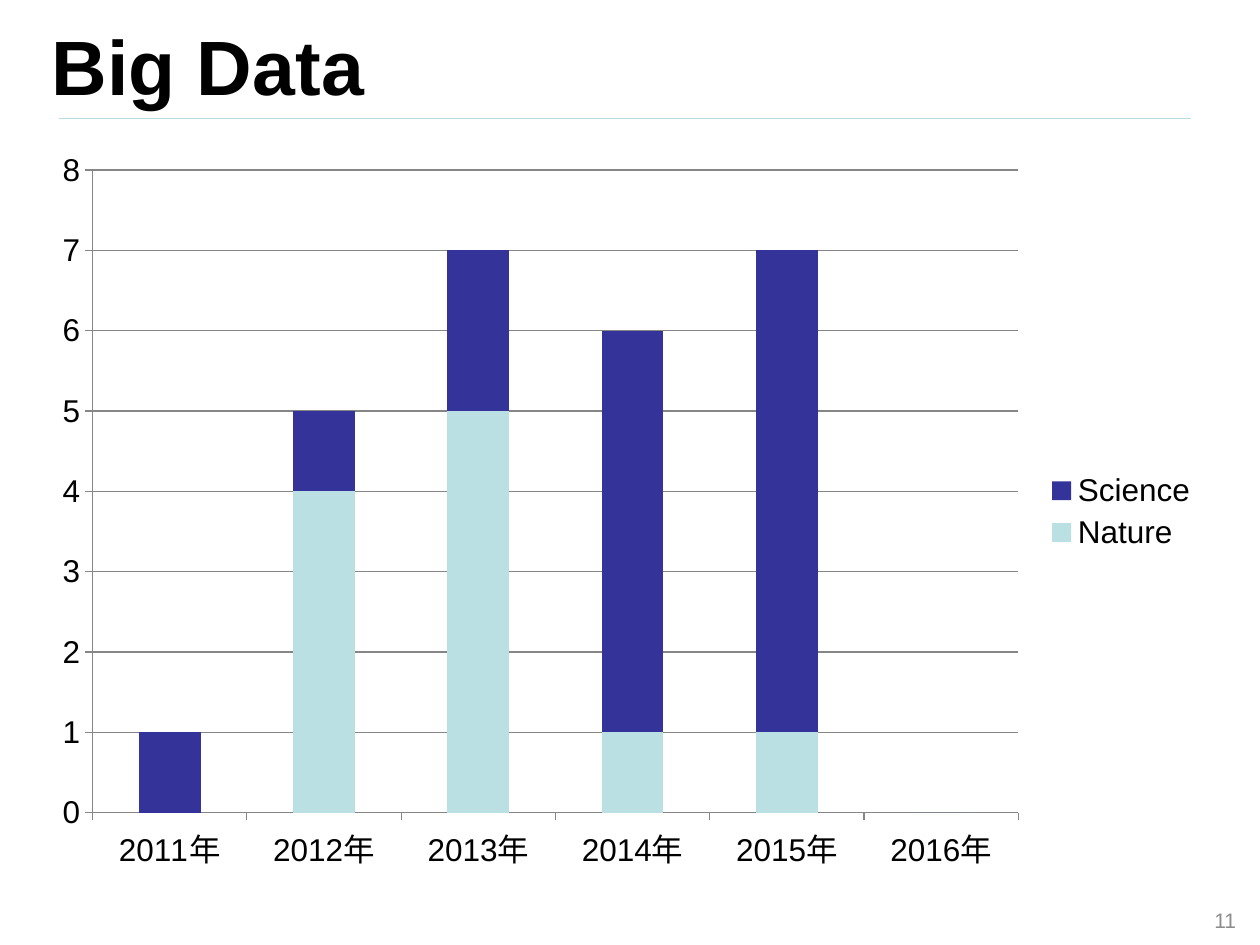
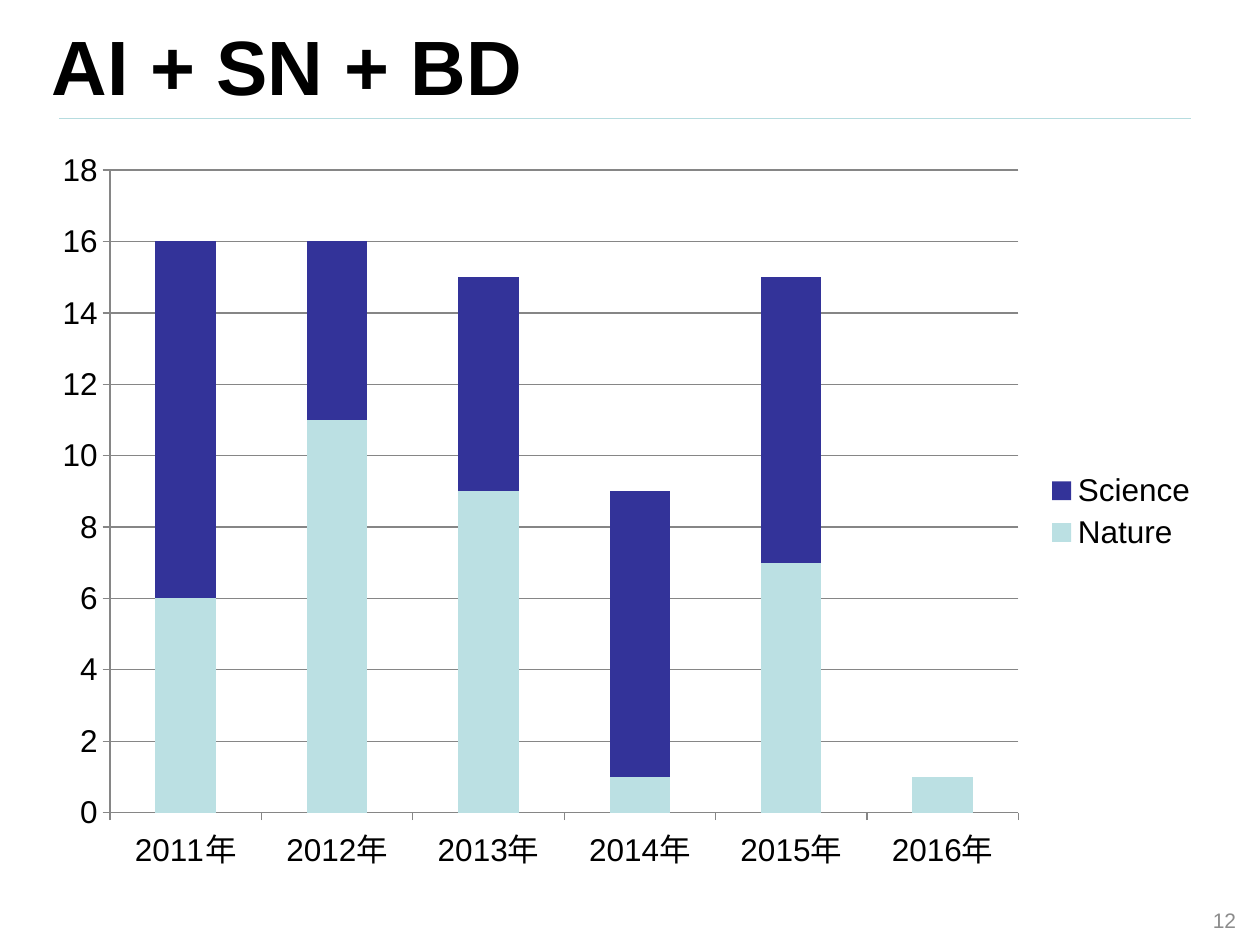
"""Build two slides of stacked yearly paper counts by journal."""
from dataclasses import dataclass

from lxml.etree import SubElement
from pptx import Presentation
from pptx.chart.data import CategoryChartData
from pptx.dml.color import RGBColor
from pptx.enum.chart import XL_CHART_TYPE, XL_LEGEND_POSITION, XL_TICK_MARK
from pptx.enum.shapes import MSO_CONNECTOR
from pptx.enum.text import MSO_ANCHOR, MSO_AUTO_SIZE, PP_ALIGN
from pptx.oxml.ns import qn
from pptx.util import Cm, Pt

FONT = "Arial"
BLACK = "000000"
PAGE_GREY = "8C8C8C"
AXIS_GREY = "868686"
RULE_TEAL = "B6DCDF"
JOURNAL_COLOURS = {"Nature": "BBE0E3", "Science": "333399"}
YEARS = [f"{year}年" for year in range(2011, 2017)]
TITLE_ONLY = 5


@dataclass(frozen=True)
class Box:
    """A rectangle in centimetres."""
    left: float
    top: float
    width: float
    height: float

    def lengths(self) -> tuple:
        """Return the four sides as lengths."""
        return Cm(self.left), Cm(self.top), Cm(self.width), Cm(self.height)


@dataclass(frozen=True)
class Topic:
    """One slide: its title, page and counts by journal."""
    title: str
    page: int
    counts: dict
    maximum: int
    step: int


TITLE_BOX = Box(0.79, 0.2, 23.22, 2.21)
PAGE_BOX = Box(19.25, 18.03, 5.92, 1.02)
CHART_BOX = Box(0.79, 2.77, 23.62, 15.09)
RULE_LEFT, RULE_RIGHT, RULE_TOP = 1.19, 24, 2.39

TOPICS = [
    Topic("Big Data", 11,
          {"Nature": [0, 4, 5, 1, 1, 0], "Science": [1, 1, 2, 5, 6, 0]}, 8, 1),
    Topic("AI + SN + BD", 12,
          {"Nature": [6, 11, 9, 1, 7, 1], "Science": [10, 5, 6, 8, 8, 0]}, 18, 2),
]


def rgb(value: str) -> RGBColor:
    """Turn a hex string into a colour."""
    return RGBColor.from_string(value)


def style_font(font, size: float, colour: str, bold: bool = False) -> None:
    """Set the shared typeface with a size, colour and weight."""
    font.name = FONT
    font.size = Pt(size)
    font.bold = bold
    font.color.rgb = rgb(colour)


def write_text(shape, text: str, *, size: float, colour: str,
               bold: bool = False, align=PP_ALIGN.LEFT) -> None:
    """Fill a shape with one formatted paragraph, centred vertically."""
    frame = shape.text_frame
    frame.auto_size = MSO_AUTO_SIZE.NONE
    frame.word_wrap = True
    frame.vertical_anchor = MSO_ANCHOR.MIDDLE
    paragraph = frame.paragraphs[0]
    paragraph.alignment = align
    run = paragraph.add_run()
    run.text = text
    style_font(run.font, size, colour, bold)


def add_rule(slide) -> None:
    """Draw the thin line under the title."""
    rule = slide.shapes.add_connector(
        MSO_CONNECTOR.STRAIGHT, Cm(RULE_LEFT), Cm(RULE_TOP), Cm(RULE_RIGHT), Cm(RULE_TOP))
    rule.line.color.rgb = rgb(RULE_TEAL)
    rule.line.width = Pt(0.75)
    SubElement(rule._element.spPr, qn("a:effectLst"))


def style_line(line) -> None:
    """Give an axis or gridline its thin grey stroke."""
    line.color.rgb = rgb(AXIS_GREY)
    line.width = Pt(0.75)


def add_counts_chart(slide, topic: Topic) -> None:
    """Add the stacked columns of one topic."""
    data = CategoryChartData()
    data.categories = YEARS
    for journal, counts in topic.counts.items():
        data.add_series(journal, counts)
    chart = slide.shapes.add_chart(
        XL_CHART_TYPE.COLUMN_STACKED, *CHART_BOX.lengths(), data).chart
    chart.has_title = False
    style_font(chart.font, 18, BLACK)

    chart.has_legend = True
    chart.legend.position = XL_LEGEND_POSITION.RIGHT
    chart.legend.include_in_layout = False

    plot = chart.plots[0]
    plot.vary_by_categories = False
    plot.overlap = 100
    plot.gap_width = 150
    for series in plot.series:
        series.format.fill.solid()
        series.format.fill.fore_color.rgb = rgb(JOURNAL_COLOURS[series.name])

    for axis in (chart.category_axis, chart.value_axis):
        axis.major_tick_mark = XL_TICK_MARK.OUTSIDE
        axis.minor_tick_mark = XL_TICK_MARK.NONE
        style_line(axis.format.line)
    counts_axis = chart.value_axis
    counts_axis.minimum_scale = 0
    counts_axis.maximum_scale = topic.maximum
    counts_axis.major_unit = topic.step
    counts_axis.has_major_gridlines = True
    style_line(counts_axis.major_gridlines.format.line)


def add_topic_slide(deck, topic: Topic) -> None:
    """Add a slide with title, rule, page number and chart."""
    slide = deck.slides.add_slide(deck.slide_layouts[TITLE_ONLY])
    add_rule(slide)
    title = slide.shapes.title
    title.left, title.top, title.width, title.height = TITLE_BOX.lengths()
    write_text(title, topic.title, size=44, colour=BLACK, bold=True)
    page = slide.shapes.add_textbox(*PAGE_BOX.lengths())
    write_text(page, str(topic.page), size=12, colour=PAGE_GREY, align=PP_ALIGN.RIGHT)
    add_counts_chart(slide, topic)


def main() -> None:
    """Build and save the deck."""
    deck = Presentation()
    deck.slide_width, deck.slide_height = Cm(25.4), Cm(19.05)
    for topic in TOPICS:
        add_topic_slide(deck, topic)
    deck.save("out.pptx")


if __name__ == "__main__":
    main()
